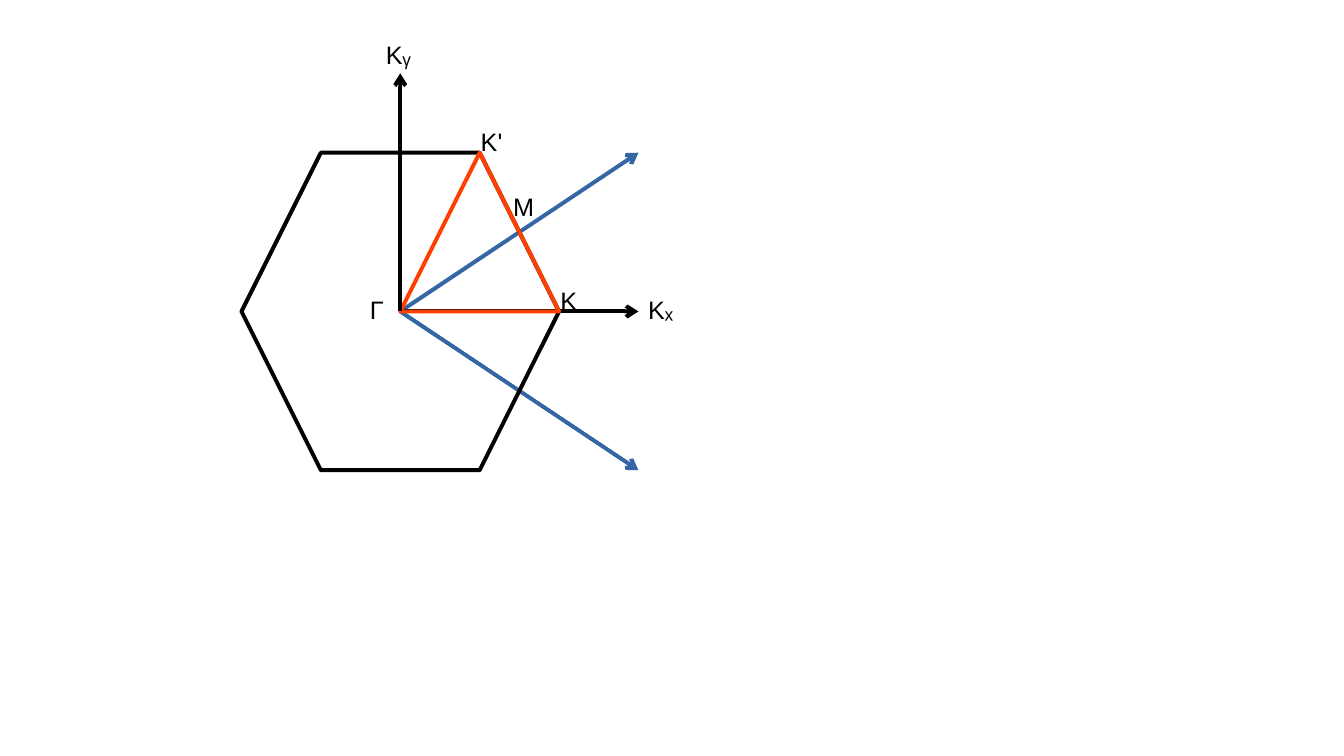
from lxml import etree
from pptx import Presentation
from pptx import util as u
from pptx.dml.color import RGBColor
from pptx.enum import shapes, text
from pptx.oxml.ns import qn

COLORS = {"axis": "000000", "vector": "3465A4", "zone": "FF4000"}
LINE_WIDTH = 2.83
CENTER = (3.97, 3.09)
RADIUS = 3.15 / 2

HEXAGON = [(-0.5, -1), (0.5, -1), (1, 0), (0.5, 1), (-0.5, 1), (-1, 0)]
TRIANGLE = [(0.5, -1), (1, 0), (0, 0)]
DRAWING = [
    ("arrow", (1.5, 1), "vector"),
    ("arrow", (1.5, -1), "vector"),
    ("outline", HEXAGON, "axis"),
    ("arrow", (1.5, 0), "axis"),
    ("outline", TRIANGLE, "zone"),
    ("arrow", (0, -1.5), "axis"),
]
LABELS = [
    ("Kₓ", 6.33, 2.87, 0.47, 0.38),
    ("Kᵧ", 3.73, 0.34, 0.47, 0.38),
    ("Γ", 3.57, 2.87, 0.39, 0.38),
    ("K", 5.46, 2.78, 0.39, 0.38),
    ("Kʹ", 4.67, 1.2, 0.47, 0.66),
    ("M", 4.99, 1.85, 0.39, 0.38),
]
FRAME_FORMAT = {
    "word_wrap": False,
    "auto_size": text.MSO_AUTO_SIZE.SHAPE_TO_FIT_TEXT,
    "margin_left": u.Inches(0.1),
    "margin_right": u.Inches(0.1),
    "margin_top": u.Inches(0.05),
    "margin_bottom": u.Inches(0.05),
}
FONT_FORMAT = {"name": "Arial", "size": u.Pt(18)}


def set_format(target, values):
    for name, value in values.items():
        setattr(target, name, value)


def locate(point):
    return tuple(u.Inches(c + RADIUS * p) for c, p in zip(CENTER, point))


def style_line(shape, color):
    shape.line.width = u.Pt(LINE_WIDTH)
    shape.line.color.rgb = RGBColor.from_string(COLORS[color])


def add_arrow(group, end, color):
    connector = group.shapes.add_connector(
        shapes.MSO_CONNECTOR.STRAIGHT, *locate((0, 0)), *locate(end))
    style_line(connector, color)
    properties = connector._element.spPr
    etree.SubElement(properties.find(qn("a:ln")), qn("a:tailEnd"), type="arrow")
    etree.SubElement(properties, qn("a:effectLst"))


def add_outline(group, points, color):
    corners = [locate(point) for point in points]
    builder = group.shapes.build_freeform(*corners[0])
    builder.add_line_segments(corners[1:], close=True)
    shape = builder.convert_to_shape()
    shape.shadow.inherit = False
    shape.fill.background()
    style_line(shape, color)


def add_label(group, words, *box):
    frame = group.shapes.add_textbox(*map(u.Inches, box)).text_frame
    set_format(frame, FRAME_FORMAT)
    run = frame.paragraphs[0].add_run()
    run.text = words
    set_format(run.font, FONT_FORMAT)
    run.font.color.rgb = RGBColor.from_string(COLORS["axis"])


def main():
    presentation = Presentation()
    presentation.slide_width = u.Inches(13.33)
    presentation.slide_height = u.Inches(7.5)
    slide = presentation.slides.add_slide(presentation.slide_layouts[6])
    group = slide.shapes.add_group_shape()
    builders = {"arrow": add_arrow, "outline": add_outline}
    for kind, points, color in DRAWING:
        builders[kind](group, points, color)
    for label in LABELS:
        add_label(group, *label)
    presentation.save("out.pptx")


if __name__ == "__main__":
    main()
